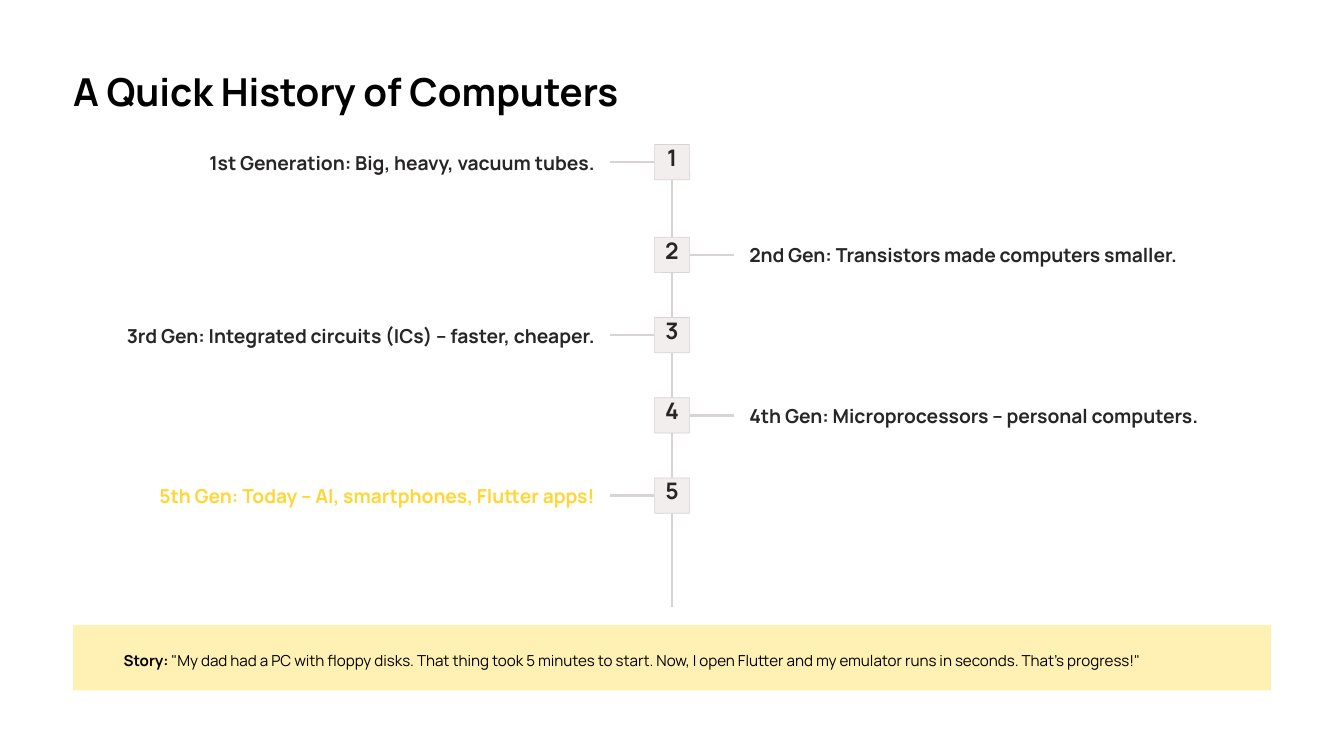
from dataclasses import dataclass

from lxml.etree import SubElement
from pptx import Presentation
from pptx.dml.color import RGBColor
from pptx.enum.shapes import MSO_CONNECTOR, MSO_SHAPE
from pptx.enum.text import MSO_ANCHOR, MSO_AUTO_SIZE, PP_ALIGN
from pptx.oxml.ns import qn
from pptx.shapes.autoshape import Shape
from pptx.shapes.connector import Connector
from pptx.slide import Slide
from pptx.util import Emu, Inches, Pt

WHITE = RGBColor(0xFF, 0xFF, 0xFF)
BLACK = RGBColor(0x00, 0x00, 0x00)
INK = RGBColor(0x27, 0x25, 0x25)
YELLOW = RGBColor(0xFF, 0xD6, 0x34)
PALE_YELLOW = RGBColor(0xFF, 0xF0, 0xB3)
TILE_FILL = RGBColor(0xF2, 0xEE, 0xEE)
LINE_GREY = RGBColor(0xD8, 0xD4, 0xD4)

# The slide is a grid of 160 columns by 90 rows of square cells.
COLUMNS, ROWS, CELL = 160, 90, 0.1
MARGIN = 8.7
CENTRE = COLUMNS / 2
TILE = 4.2
TILE_TOP = 17.2
SECOND_TILE_TOP = 28.25
TILE_STEP = 9.55
SPINE_END = 72.3
BRANCH = 5.3
LABEL_GAP = 9.2
LABEL_WIDTH, LABEL_HEIGHT = 60, 2.9


@dataclass(frozen=True)
class Generation:
    text: str
    color: RGBColor = INK


@dataclass(frozen=True)
class Span:
    text: str
    size: float
    color: RGBColor
    bold: bool = True


GENERATIONS = [
    Generation("1st Generation: Big, heavy, vacuum tubes."),
    Generation("2nd Gen: Transistors made computers smaller."),
    Generation("3rd Gen: Integrated circuits (ICs) – faster, cheaper."),
    Generation("4th Gen: Microprocessors – personal computers."),
    Generation("5th Gen: Today – AI, smartphones, Flutter apps!", YELLOW),
]
STORY = [
    Span("Story:", 13, BLACK),
    Span(" \"My dad had a PC with floppy disks. That thing took 5 minutes to start. "
         "Now, I open Flutter and my emulator runs in seconds. That's progress!\"",
         13, BLACK, bold=False),
]


def cells(count: float) -> Emu:
    return Inches(count * CELL)


def write(box: Shape, spans: list[Span], line_points: float,
          align: PP_ALIGN = PP_ALIGN.LEFT, anchor: MSO_ANCHOR = MSO_ANCHOR.TOP,
          left: float = 0, top: float = 0) -> None:
    """Fill a box with one paragraph; left and top are insets in cells."""
    frame_format = {
        "word_wrap": True, "auto_size": MSO_AUTO_SIZE.NONE, "vertical_anchor": anchor,
        "margin_left": cells(left), "margin_top": cells(top),
        "margin_right": 0, "margin_bottom": 0,
    }
    for name, value in frame_format.items():
        setattr(box.text_frame, name, value)
    para = box.text_frame.paragraphs[0]
    para.alignment = align
    para.line_spacing = Pt(line_points)
    for span in spans:
        run = para.add_run()
        run.text = span.text
        font_format = {"name": "Manrope", "size": Pt(span.size), "bold": span.bold}
        for name, value in font_format.items():
            setattr(run.font, name, value)
        run.font.color.rgb = span.color


def add_panel(page: Slide, left: float, top: float, width: float, height: float,
              fill: RGBColor, rounding: float) -> Shape:
    panel = page.shapes.add_shape(MSO_SHAPE.ROUNDED_RECTANGLE, cells(left), cells(top),
                                  cells(width), cells(height))
    panel.adjustments[0] = rounding
    panel.shadow.inherit = False
    panel.fill.solid()
    panel.fill.fore_color.rgb = fill
    panel.line.fill.background()
    return panel


def add_line(page: Slide, x1: float, y1: float, x2: float, y2: float) -> Connector:
    line = page.shapes.add_connector(MSO_CONNECTOR.STRAIGHT, cells(x1), cells(y1),
                                     cells(x2), cells(y2))
    line.line.color.rgb = LINE_GREY
    line.line.width = Pt(2.16)
    SubElement(line._element.spPr, qn("a:effectLst"))
    return line


def add_generation(page: Slide, index: int, generation: Generation) -> None:
    """Draw a numbered tile with its branch and label, left and right in turn."""
    on_left = index % 2 == 0
    side = -1 if on_left else 1
    top = TILE_TOP if index == 0 else SECOND_TILE_TOP + (index - 1) * TILE_STEP
    middle = top + TILE / 2

    tile = add_panel(page, CENTRE - TILE / 2, top, TILE, TILE, TILE_FILL, 0.02)
    tile.line.color.rgb = LINE_GREY
    tile.line.width = Pt(0.6)
    write(tile, [Span(str(index + 1), 19.5, INK)], 19.5, PP_ALIGN.CENTER, top=0.4)

    edge = CENTRE + side * TILE / 2
    branch = add_line(page, edge, middle, edge + side * BRANCH, middle)
    branch.begin_connect(tile, 1 if on_left else 3)

    near = CENTRE + side * LABEL_GAP
    label = page.shapes.add_textbox(
        cells(near - LABEL_WIDTH if on_left else near), cells(middle - LABEL_HEIGHT / 2),
        cells(LABEL_WIDTH), cells(LABEL_HEIGHT))
    write(label, [Span(generation.text, 16.5, generation.color)], 20.5,
          PP_ALIGN.RIGHT if on_left else PP_ALIGN.LEFT)


def main() -> None:
    deck = Presentation()
    deck.slide_width, deck.slide_height = cells(COLUMNS), cells(ROWS)
    page = deck.slides.add_slide(deck.slide_layouts[5])
    page.background.fill.solid()
    page.background.fill.fore_color.rgb = WHITE

    title = page.shapes.title
    place = {"left": MARGIN, "top": 7.8, "width": 69.5, "height": 5.8}
    for name, value in place.items():
        setattr(title, name, cells(value))
    write(title, [Span("A Quick History of Computers", 33, BLACK)], 41.5)

    add_line(page, CENTRE, TILE_TOP, CENTRE, SPINE_END)
    for index, generation in enumerate(GENERATIONS):
        add_generation(page, index, generation)

    story = add_panel(page, MARGIN, 74.4, COLUMNS - 2 * MARGIN, 7.8, PALE_YELLOW, 0.01)
    write(story, STORY, 21, anchor=MSO_ANCHOR.MIDDLE, left=6)

    deck.save("out.pptx")


if __name__ == "__main__":
    main()
